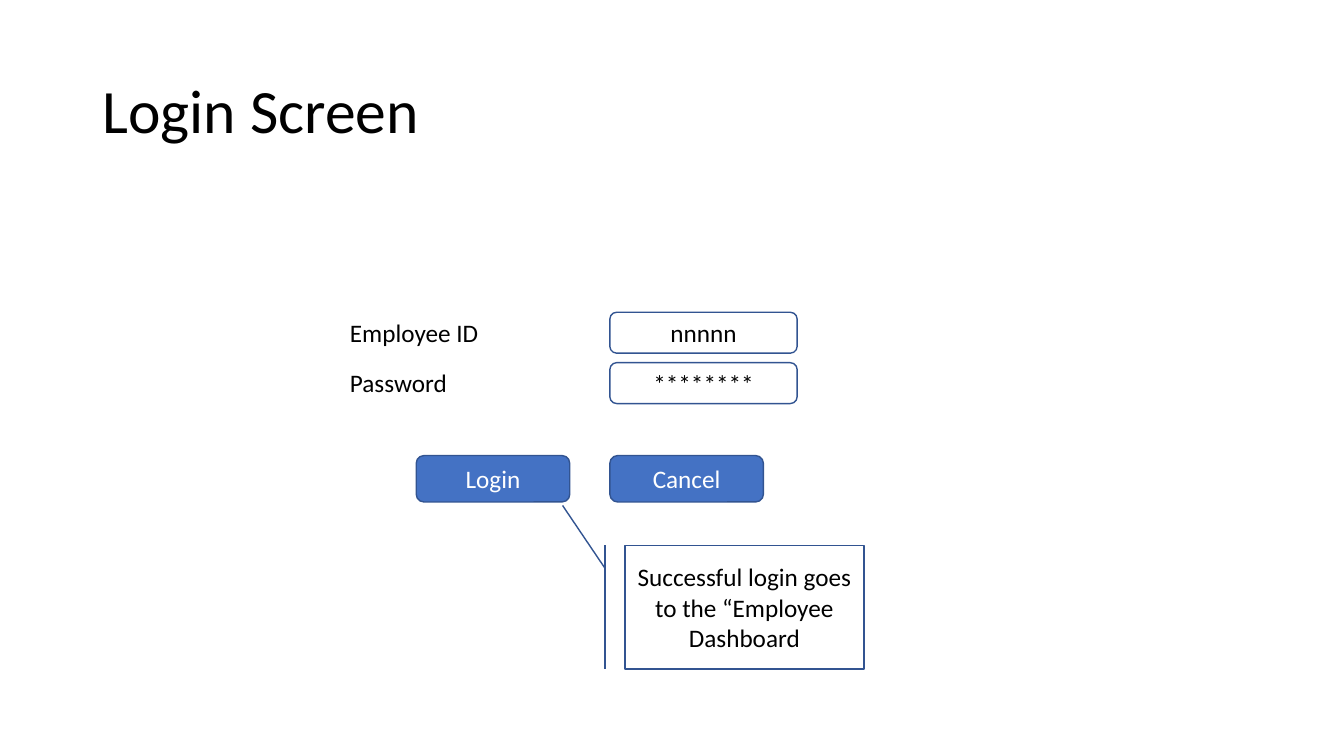
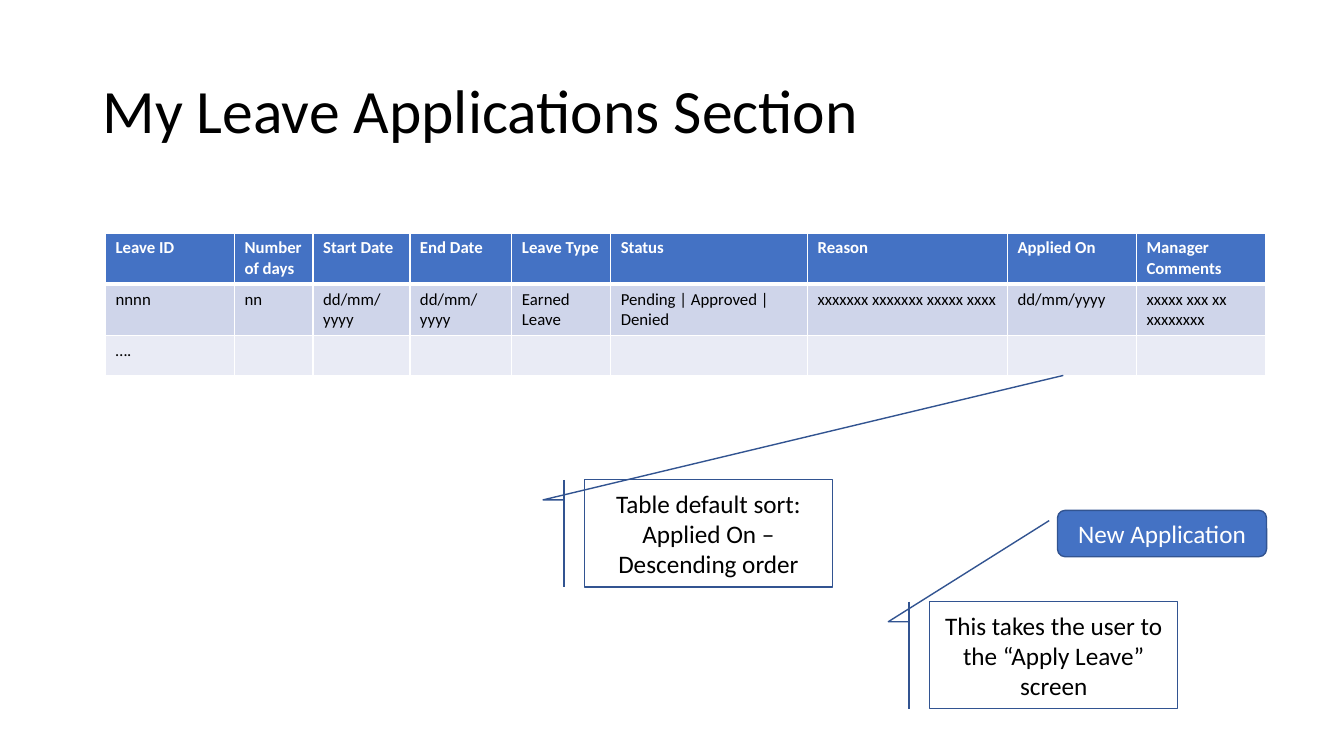
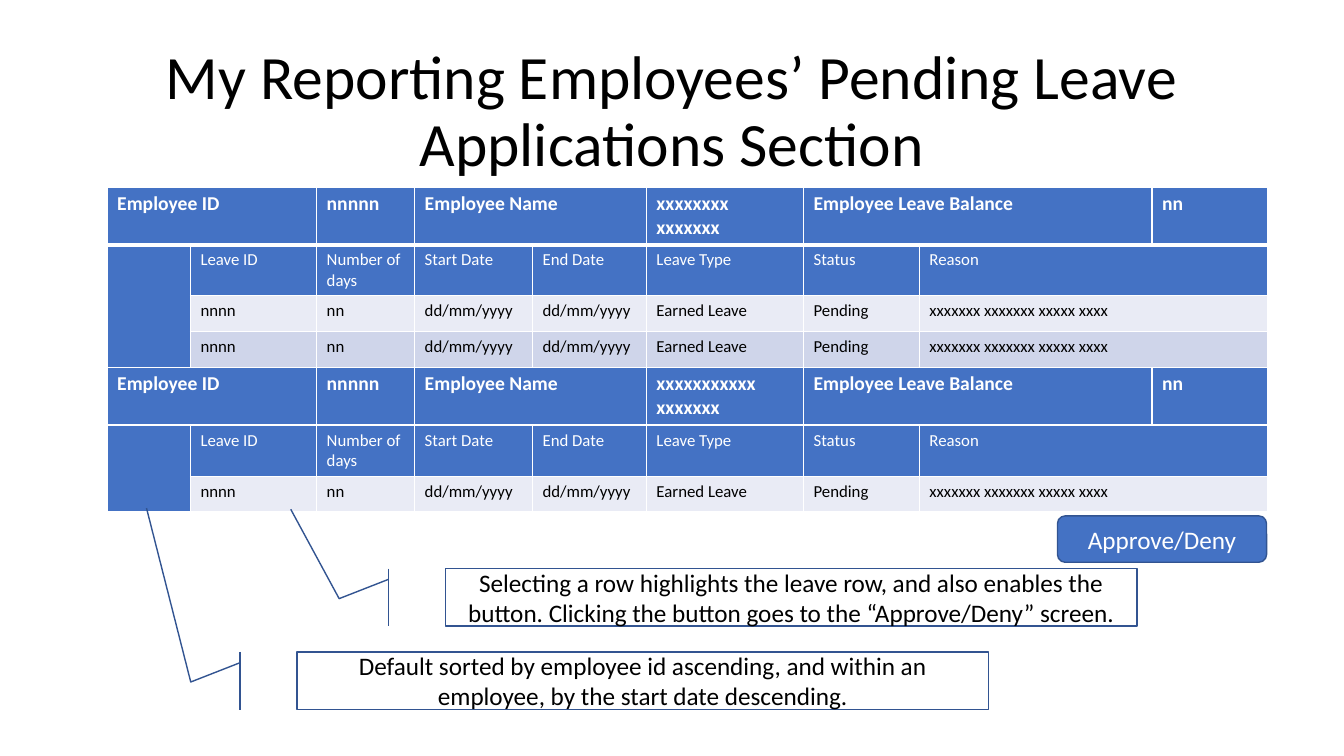
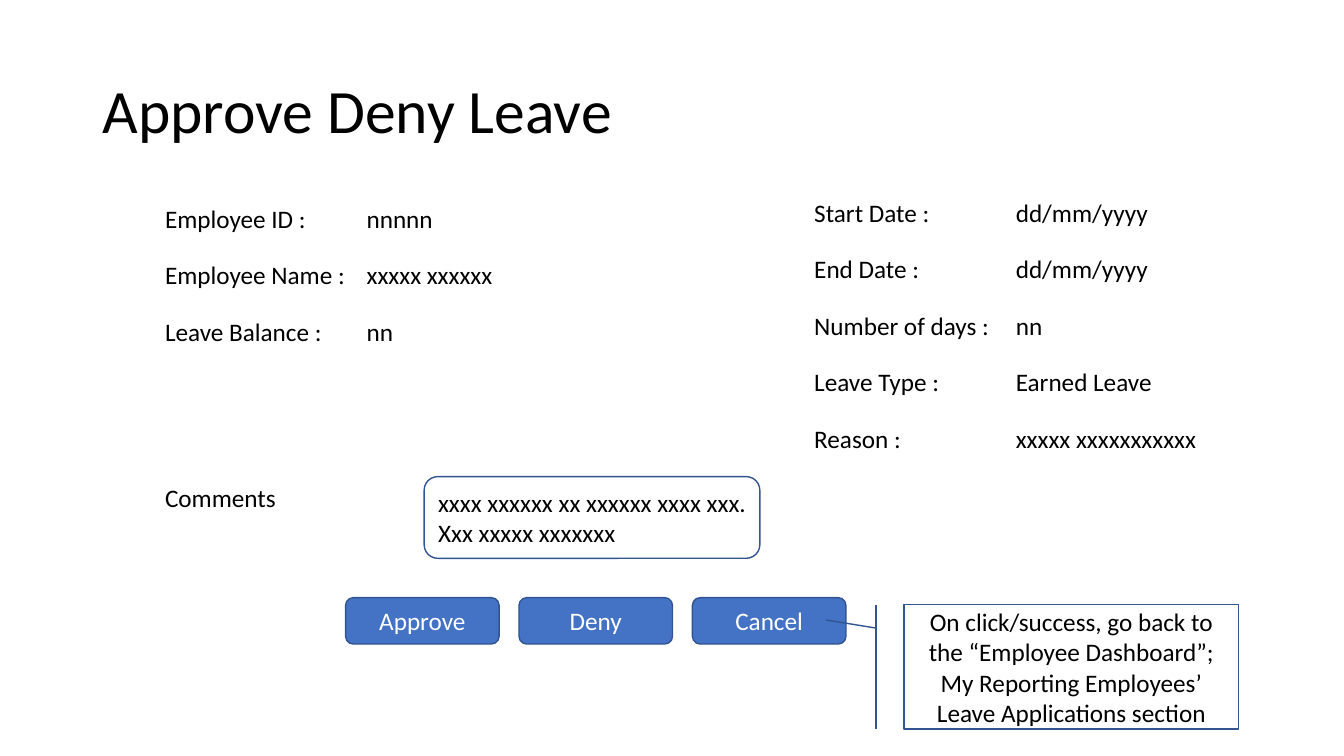
"""Builds the wireframe deck for the leave management screens."""
from lxml import etree
from pptx import Presentation
from pptx.dml.color import RGBColor
from pptx.enum.shapes import MSO_SHAPE as Shape
from pptx.enum.text import MSO_ANCHOR as Anchor, PP_ALIGN as Align
from pptx.oxml.ns import qn
from pptx.util import Cm, Pt

COLORS = {
    "accent": "4472C4", "outline": "325491", "text": "000000",
    "light": "FFFFFF", "band_dark": "CFD5EA", "band_light": "E9EBF5",
}
FONT = "Calibri"
BODY_SIZE = 18
TITLE_SIZE = 44
TITLE_AREA = (2.33, 1.01, 29.21, 3.68)
LINE_HEIGHT = 1.03
BUTTON_HEIGHT = 1.17
BUTTON_WIDTH = 3.87
WIDE_BUTTON_LEFT, WIDE_BUTTON_WIDTH = 26.65, 5.27
VALUE_TAB = 5.08
BAR_POINT = (0.188, -0.083)

ROW_STYLES = {
    "header": ("accent", "light", 12, True),
    "employee": ("accent", "light", 14, True),
    "columns": ("accent", "light", 12, False),
    "dark": ("band_dark", "text", 12, False),
    "pale": ("band_light", "text", 12, False),
}

LOGIN_FIELDS = [("Employee ID", "nnnnn"), ("Password", "********")]
LOGIN_BUTTONS = [("Login", 10.49), ("Cancel", 15.37)]
LOGIN_NOTE = ("Successful login goes to the “Employee Dashboard",
              (15.75, 13.74, 6.02, 3.12), [(-0.321, -0.261)])

MY_LEAVE_WIDTHS = [3.25, 1.98, 2.44, 2.57, 2.49, 4.96, 5.04, 3.25, 3.25]
MY_LEAVE_ROWS = [
    ("header", 1.28, ["Leave ID", "Number of days", "Start Date", "End Date", "Leave Type",
                      "Status", "Reason", "Applied On", "Manager Comments"]),
    ("dark", 1.28, ["nnnn", "nn", "dd/mm/yyyy", "dd/mm/yyyy", "Earned Leave",
                    "Pending | Approved | Denied", "xxxxxxx xxxxxxx xxxxx xxxx",
                    "dd/mm/yyyy", "xxxxx xxx xx xxxxxxxx"]),
    ("pale", 1.03, ["….", "", "", "", "", "", "", "", ""]),
]
MY_LEAVE_NOTES = [
    ("This takes the user to the “Apply Leave” screen",
     (23.43, 15.16, 6.25, 2.7), [(0.188, -0.167), (-0.756, 0.482)]),
    ("Table default sort: Applied On – Descending order",
     (14.73, 12.09, 6.25, 2.7), [(0.188, -0.167), (-0.974, 1.931)]),
]

PENDING_WIDTHS = [2.1, 3.18, 2.47, 2.97, 2.87, 3.96, 2.92, 5.86, 2.92]
EMPLOYEES = [("xxxxxxxx xxxxxxx", ["pale", "dark"]), ("xxxxxxxxxxx xxxxxxx", ["pale"])]
PENDING_COLUMNS = ["", "Leave ID", "Number of days", "Start Date", "End Date",
                   "Leave Type", "Status", "Reason", ""]
PENDING_LEAVE = ["", "nnnn", "nn", "dd/mm/yyyy", "dd/mm/yyyy", "Earned Leave", "Pending",
                 "xxxxxxx xxxxxxx xxxxx xxxx", ""]
PENDING_NOTES = [
    ("Default sorted by employee id ascending, and within an employee, "
     "by the start date descending.",
     (7.49, 16.43, 17.42, 1.45), [(0.522, -0.154), (-2.501, -0.218)]),
    ("Selecting a row highlights the leave row, and also enables the button. "
     "Clicking the button goes to the “Approve/Deny” screen.",
     (11.23, 14.33, 17.42, 1.45), [(0.522, -0.154), (-1.032, -0.224)]),
]

DETAIL_STEP = 1.42
DETAIL_COLUMNS = [
    (3.91, 5.0, [("Employee ID :", "nnnnn"), ("Employee Name :", "xxxxx xxxxxx"),
                 ("Leave Balance :", "nn")]),
    (20.27, 4.85, [("Start Date :", "dd/mm/yyyy"), ("End Date :", "dd/mm/yyyy"),
                   ("Number of days :", "nn"), ("Leave Type :", "Earned Leave"),
                   ("Reason :", "xxxxx xxxxxxxxxxx")]),
]
DECISIONS = ["Approve", "Deny", "Cancel"]
DECISION_NOTE = ("On click/success, go back to the “Employee Dashboard”; "
                 "My Reporting Employees’ Leave Applications section",
                 (22.78, 15.24, 8.44, 3.13), [(0.123, -0.232)])


def rgb(name):
    return RGBColor.from_string(COLORS[name])


def area(left, top, width, height):
    return Cm(left), Cm(top), Cm(width), Cm(height)


def style_para(para, color="text", size=BODY_SIZE, bold=False, align=Align.LEFT):
    para.alignment = align
    para.font.name = FONT
    para.font.size = Pt(size)
    para.font.bold = bold
    para.font.color.rgb = rgb(color)


def add_page(deck, title, align=Align.LEFT):
    page = deck.slides.add_slide(deck.slide_layouts[5])
    box = page.shapes.title
    box.left, box.top, box.width, box.height = area(*TITLE_AREA)
    box.text_frame.text = title
    box.text_frame.vertical_anchor = Anchor.MIDDLE
    para = box.text_frame.paragraphs[0]
    style_para(para, size=TITLE_SIZE, align=align)
    para.line_spacing = 0.9
    return page


def add_label(page, text, left, top, width=7.59):
    box = page.shapes.add_textbox(*area(left, top, width, LINE_HEIGHT))
    box.text_frame.word_wrap = True
    box.text_frame.text = text
    para = box.text_frame.paragraphs[0]
    style_para(para)
    return para


def add_detail(page, label, value, left, top):
    para = add_label(page, f"{label}\t{value}", left, top, 11.4)
    tabs = etree.Element(qn("a:tabLst"))
    etree.SubElement(tabs, qn("a:tab"), pos=str(Cm(VALUE_TAB)), algn="l")
    para._p.get_or_add_pPr().insert(0, tabs)


def add_box(page, kind, text, place, fill=None, color="text", align=Align.CENTER):
    box = page.shapes.add_shape(kind, *area(*place))
    box.shadow.inherit = False
    if fill:
        box.fill.solid()
        box.fill.fore_color.rgb = rgb(fill)
    else:
        box.fill.background()
    box.line.color.rgb = rgb("outline")
    box.line.width = Pt(1)
    frame = box.text_frame
    frame.word_wrap = True
    frame.vertical_anchor = Anchor.MIDDLE
    frame.text = text
    style_para(frame.paragraphs[0], color, align=align)
    return box


def add_field(page, text, place, align=Align.CENTER):
    add_box(page, Shape.ROUNDED_RECTANGLE, text, place, align=align)


def add_button(page, text, left, top, width=BUTTON_WIDTH):
    add_box(page, Shape.ROUNDED_RECTANGLE, text, (left, top, width, BUTTON_HEIGHT),
            "accent", "light")


def add_note(page, text, place, leader):
    kind = (Shape.LINE_CALLOUT_1_BORDER_AND_ACCENT_BAR if len(leader) == 1
            else Shape.LINE_CALLOUT_2_BORDER_AND_ACCENT_BAR)
    note = add_box(page, kind, text, place)
    values = [value for point in [BAR_POINT, *leader] for value in point]
    for index, value in enumerate(values):
        note.adjustments[index] = value


def add_borders(cell, bottom):
    properties = cell._tc.get_or_add_tcPr()
    for side, points in (("L", 1), ("R", 1), ("T", 1), ("B", bottom)):
        line = etree.SubElement(properties, qn(f"a:ln{side}"), w=str(Pt(points)))
        fill = etree.SubElement(line, qn("a:solidFill"))
        etree.SubElement(fill, qn("a:srgbClr"), val=COLORS["light"])


def add_grid(page, left, top, widths, rows):
    heights = [height for _, height, _ in rows]
    frame = page.shapes.add_table(len(rows), len(widths),
                                  *area(left, top, sum(widths), sum(heights)))
    table = frame.table
    table.first_row = table.horz_banding = False
    for column, width in zip(table.columns, widths):
        column.width = Cm(width)
    for row_index, (style, height, texts) in enumerate(rows):
        fill, color, size, bold = ROW_STYLES[style]
        table.rows[row_index].height = Cm(height)
        for column_index, text in enumerate(texts):
            cell = table.cell(row_index, column_index)
            cell.text = text
            style_para(cell.text_frame.paragraphs[0], color, size, bold)
            add_borders(cell, 3 if row_index == 0 else 1)
            cell.fill.solid()
            in_spine = style != "employee" and column_index == 0 and not text
            cell.fill.fore_color.rgb = rgb("accent" if in_spine else fill)
    return table


def merge(table, first, last):
    table.cell(*first).merge(table.cell(*last))


def build_login(deck):
    page = add_page(deck, "Login Screen")
    for index, (label, value) in enumerate(LOGIN_FIELDS):
        top = 7.87 + index * 1.27
        add_label(page, label, 8.57, top)
        add_field(page, value, (15.37, top, 4.72, LINE_HEIGHT))
    for text, left in LOGIN_BUTTONS:
        add_button(page, text, left, 11.48)
    add_note(page, *LOGIN_NOTE)


def build_my_leave(deck):
    page = add_page(deck, "My Leave Applications Section")
    add_grid(page, 2.66, 5.87, MY_LEAVE_WIDTHS, MY_LEAVE_ROWS)
    add_button(page, "New Application", WIDE_BUTTON_LEFT, 12.86, WIDE_BUTTON_WIDTH)
    for note in MY_LEAVE_NOTES:
        add_note(page, *note)


def build_pending(deck):
    page = add_page(deck, "My Reporting Employees’ Pending Leave Applications Section",
                    Align.CENTER)
    rows = []
    for name, bands in EMPLOYEES:
        rows.append(("employee", 1.45, ["Employee ID", "", "nnnnn", "Employee Name", "", name,
                                        "Employee Leave Balance", "", "nn"]))
        rows.append(("columns", 1.28, PENDING_COLUMNS))
        rows += [(band, 0.9, PENDING_LEAVE) for band in bands]
    table = add_grid(page, 2.7, 4.71, PENDING_WIDTHS, rows)
    start = 0
    for _, bands in EMPLOYEES:
        end = start + 1 + len(bands)
        for column in (0, 3, 6):
            merge(table, (start, column), (start, column + 1))
        merge(table, (start + 1, 0), (end, 0))
        for row in range(start + 1, end + 1):
            merge(table, (row, 7), (row, 8))
        start = end + 1
    for note in PENDING_NOTES:
        add_note(page, *note)
    add_button(page, "Approve/Deny", WIDE_BUTTON_LEFT, 13.0, WIDE_BUTTON_WIDTH)


def build_decision(deck):
    page = add_page(deck, "Approve Deny Leave")
    for left, top, details in DETAIL_COLUMNS:
        for index, (label, value) in enumerate(details):
            add_detail(page, label, value, left, top + index * DETAIL_STEP)
    add_label(page, "Comments", 3.91, 12.04)
    add_field(page, "xxxx xxxxxx xx xxxxxx xxxx xxx. Xxx xxxxx xxxxxxx",
              (10.69, 12.01, 8.46, 2.06), Align.JUSTIFY)
    for index, text in enumerate(DECISIONS):
        add_button(page, text, 8.71 + index * 4.37, 15.06)
    add_note(page, *DECISION_NOTE)


deck = Presentation()
deck.slide_width, deck.slide_height = Cm(33.87), Cm(19.05)
for build in (build_login, build_my_leave, build_pending, build_decision):
    build(deck)
deck.save("out.pptx")
